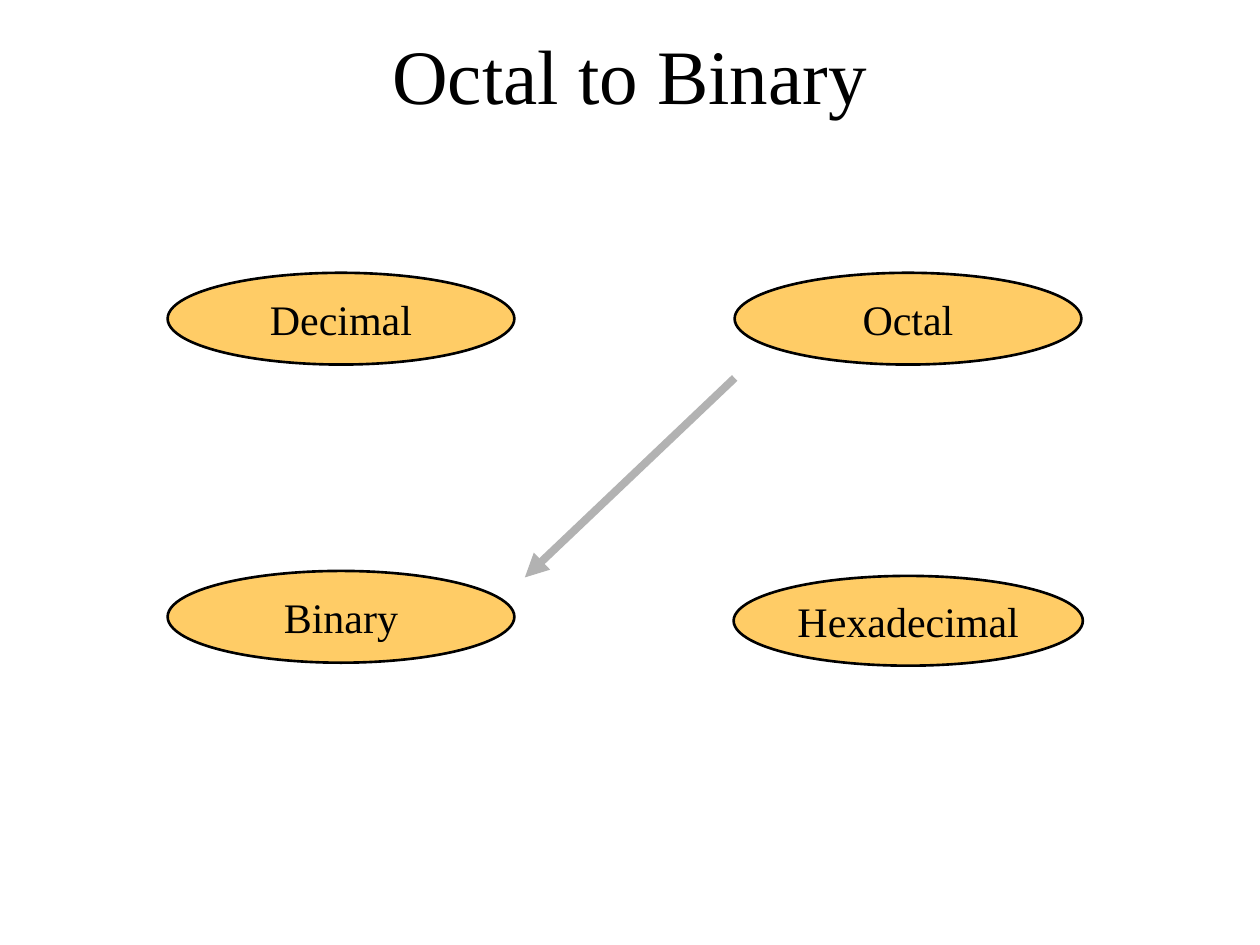
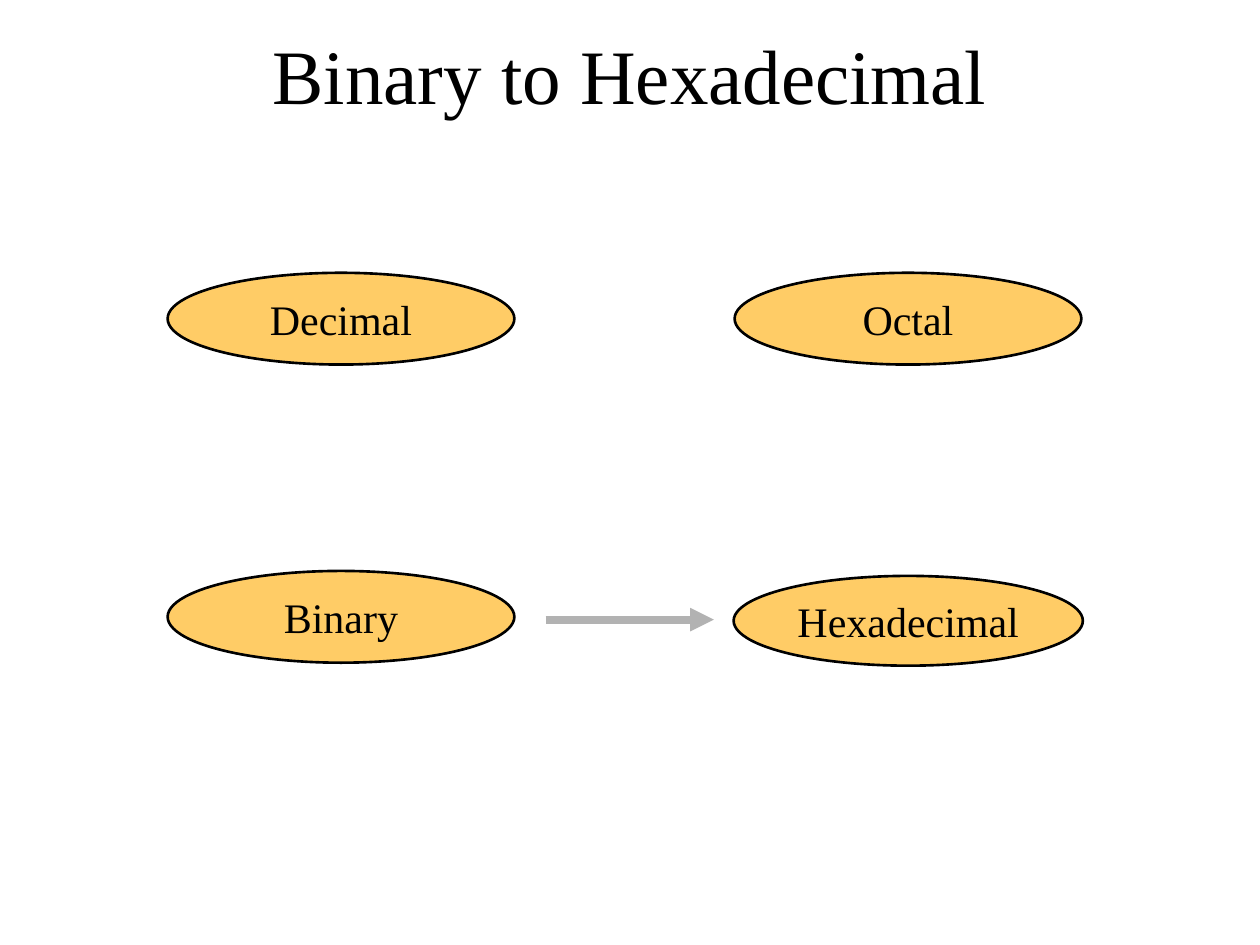
from lxml import etree
from pptx import Presentation
from pptx.dml.color import RGBColor
from pptx.enum.shapes import MSO_CONNECTOR, MSO_SHAPE
from pptx.enum.text import MSO_ANCHOR, PP_ALIGN
from pptx.oxml.ns import qn
from pptx.util import Cm, Pt

OVAL = MSO_SHAPE.OVAL
STRAIGHT = MSO_CONNECTOR.STRAIGHT
MIDDLE = MSO_ANCHOR.MIDDLE
CENTER = PP_ALIGN.CENTER

BLACK = RGBColor(0x00, 0x00, 0x00)
WHITE = RGBColor(0xFF, 0xFF, 0xFF)
AMBER = RGBColor(0xFF, 0xCC, 0x66)
GRAY = RGBColor(0xB2, 0xB2, 0xB2)
FONT = "Times New Roman"

# Boxes are left, top, width, height in centimetres
TITLE_BOX = (1.9, 0.43, 21.6, 2.11)
DIAGRAM_BOX = (3.38, 5.5, 18.42, 7.86)
OVAL_SIZE = (6.99, 1.85)
HEXADECIMAL_SIZE = (7.04, 1.81)

# Title, then the arrow's start and end within the diagram box
CONVERSIONS = [
    ("Octal to Binary", (11.43, 2.12), (7.2, 6.14)),
    ("Binary to Hexadecimal", (7.62, 6.99), (11.01, 6.99)),
]


def set_text(shape, text, size):
    frame = shape.text_frame
    frame.text = text
    frame.vertical_anchor = MIDDLE
    paragraph = frame.paragraphs[0]
    paragraph.alignment = CENTER
    font = paragraph.runs[0].font
    font.name = FONT
    font.size = Pt(size)
    font.color.rgb = BLACK


def add_title(slide, box, text):
    title = slide.shapes.add_textbox(*map(Cm, box))
    title.text_frame.word_wrap = True
    set_text(title, text, 44)


def add_number_system(slide, box, name):
    oval = slide.shapes.add_shape(OVAL, *map(Cm, box))
    oval.shadow.inherit = False
    oval.fill.solid()
    oval.fill.fore_color.rgb = AMBER
    oval.line.color.rgb = BLACK
    oval.line.width = Pt(1.5)
    oval.text_frame.word_wrap = False
    set_text(oval, name, 24)


def add_arrow(slide, start, end):
    arrow = slide.shapes.add_connector(STRAIGHT, *map(Cm, start + end))
    arrow.line.color.rgb = GRAY
    arrow.line.width = Pt(4.5)
    line = arrow._element.spPr.find(qn("a:ln"))
    etree.SubElement(line, qn("a:tailEnd"), type="triangle")
    etree.SubElement(arrow._element.spPr, qn("a:effectLst"))


def add_diagram(slide, box, start, end):
    """Place the four number systems in the box corners and the arrow between them."""
    left, top, width, height = box
    oval_width, oval_height = OVAL_SIZE
    right = left + width - oval_width
    bottom = top + height - oval_height
    add_number_system(slide, (right - 0.02, bottom + 0.1, *HEXADECIMAL_SIZE), "Hexadecimal")
    for name, x, y in (
        ("Decimal", left, top),
        ("Octal", right, top),
        ("Binary", left, bottom),
    ):
        add_number_system(slide, (x, y, *OVAL_SIZE), name)
    add_arrow(slide, (left + start[0], top + start[1]), (left + end[0], top + end[1]))


def add_conversion_slide(presentation, title, start, end):
    slide = presentation.slides.add_slide(presentation.slide_layouts[6])
    slide.background.fill.solid()
    slide.background.fill.fore_color.rgb = WHITE
    add_title(slide, TITLE_BOX, title)
    add_diagram(slide, DIAGRAM_BOX, start, end)


def main():
    presentation = Presentation()
    presentation.slide_width = Cm(25.4)
    presentation.slide_height = Cm(19.05)
    for conversion in CONVERSIONS:
        add_conversion_slide(presentation, *conversion)
    presentation.save("out.pptx")


if __name__ == "__main__":
    main()
